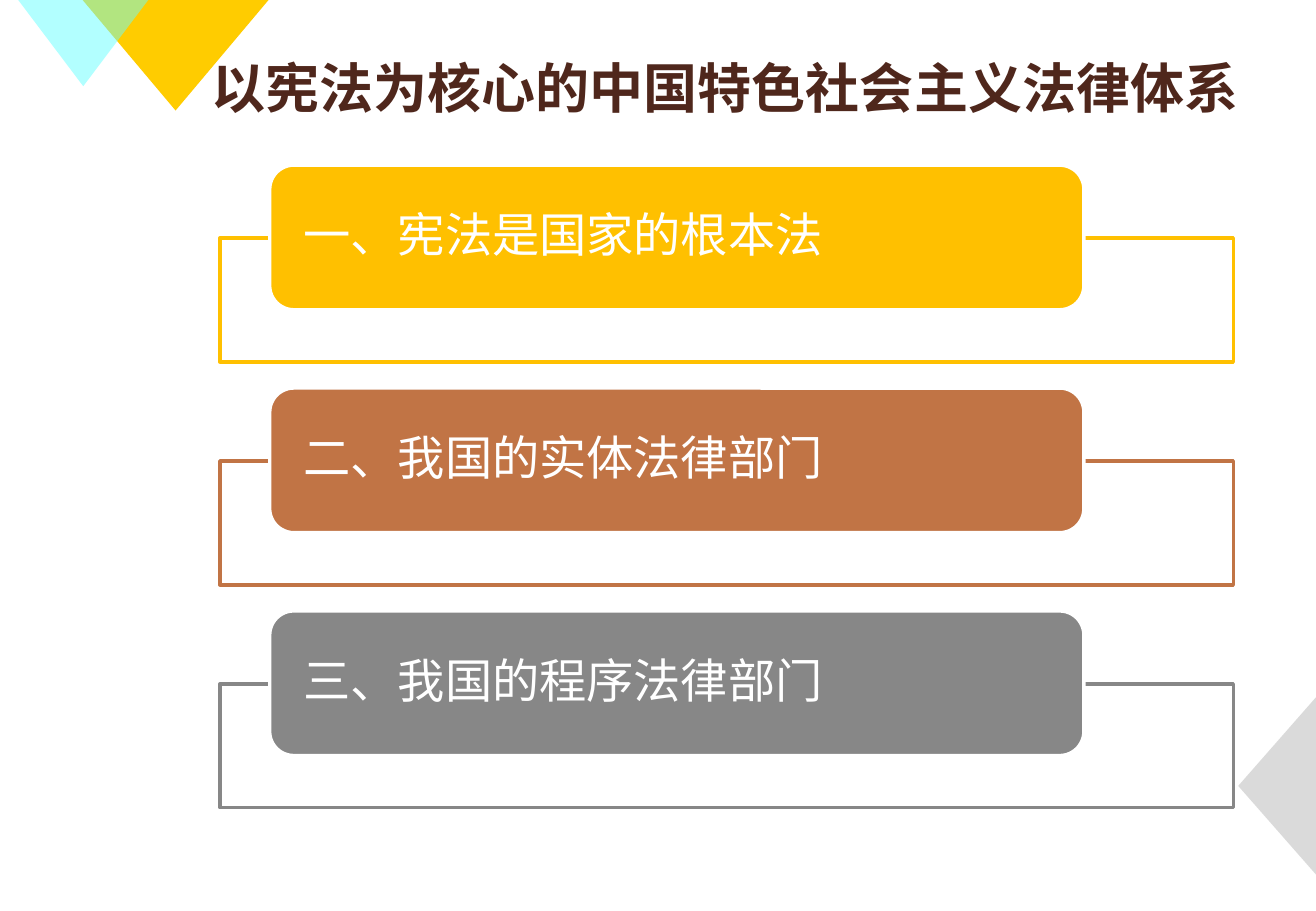
from dataclasses import dataclass

from lxml import etree
from pptx import Presentation
from pptx.dml.color import RGBColor
from pptx.enum.shapes import MSO_SHAPE
from pptx.enum.text import MSO_ANCHOR, PP_ALIGN
from pptx.oxml.ns import qn
from pptx.util import Inches, Pt

TRIANGLE = MSO_SHAPE.ISOSCELES_TRIANGLE
RECTANGLE = MSO_SHAPE.RECTANGLE
ROUNDED = MSO_SHAPE.ROUNDED_RECTANGLE
MIDDLE = MSO_ANCHOR.MIDDLE
LEFT = PP_ALIGN.LEFT
CENTER = PP_ALIGN.CENTER


@dataclass(frozen=True)
class Theme:
    """Colours, font and type sizes of the slide."""
    font: str = "Noto Sans CJK SC"
    title_size: int = 32
    section_size: int = 28
    line_width: int = 2
    title: str = "4F271C"
    white: str = "FFFFFF"
    yellow: str = "FFCC00"
    cyan: str = "66FFFF"
    pale_gray: str = "B7B7B7"
    amber: str = "FFC000"
    copper: str = "C17445"
    gray: str = "878787"


THEME = Theme()
TITLE = "以宪法为核心的中国特色社会主义法律体系"
SECTIONS = [
    ("一、宪法是国家的根本法", THEME.amber),
    ("二、我国的实体法律部门", THEME.copper),
    ("三、我国的程序法律部门", THEME.gray),
]


def add_filled_shape(slide, preset, box, fill, line=None, opacity=100):
    """Add a flat preset shape in a box given in inches."""
    shape = slide.shapes.add_shape(preset, *map(Inches, box))
    shape.shadow.inherit = False
    shape.fill.solid()
    shape.fill.fore_color.rgb = RGBColor.from_string(fill)
    if opacity < 100:
        color = shape.fill._xPr.find(qn("a:solidFill"))[0]
        etree.SubElement(color, qn("a:alpha")).set("val", str(opacity * 1000))
    if line:
        shape.line.color.rgb = RGBColor.from_string(line)
        shape.line.width = Pt(THEME.line_width)
    else:
        shape.line.fill.background()
    return shape


def write_text(shape, text, size, color, align, bold=False):
    """Write one vertically centred paragraph into a shape."""
    frame = shape.text_frame
    frame.word_wrap = True
    frame.vertical_anchor = MIDDLE
    paragraph = frame.paragraphs[0]
    paragraph.alignment = align
    run = paragraph.add_run()
    run.text = text
    run.font.name = THEME.font
    run.font.size = Pt(size)
    run.font.bold = bold
    run.font.color.rgb = RGBColor.from_string(color)
    east_asian = etree.SubElement(run.font._element, qn("a:ea"))
    east_asian.set("typeface", THEME.font)
    return paragraph


def add_decoration(slide, width):
    """Place the corner triangles and the one on the right edge."""
    height = 0.64
    base = 1.46
    right_box = (width - (base + height) / 2, 6.15, base, height)
    triangles = [
        ((0.68, 0, 1.53, 0.91), 180, THEME.yellow, 100),
        ((0.15, 0, 1.07, 0.71), 180, THEME.cyan, 50),
        (right_box, 270, THEME.pale_gray, 50),
    ]
    for box, rotation, color, opacity in triangles:
        triangle = add_filled_shape(slide, TRIANGLE, box, color, opacity=opacity)
        triangle.rotation = rotation


def add_title(slide, box):
    """Place the slide title in its box."""
    title = slide.shapes.add_textbox(*map(Inches, box))
    write_text(title, TITLE, THEME.title_size, THEME.title, CENTER, bold=True)


def add_section(slide, box, text, color):
    """Place an outlined frame with its label overlapping the top edge."""
    left, top, width, height = box
    label_height = 1.19
    frame_top = top + 0.6
    frame_box = (left, frame_top, width, top + height - frame_top)
    add_filled_shape(slide, RECTANGLE, frame_box, THEME.white, color, opacity=90)
    label_box = (left + 0.41, top, 6.7, label_height)
    label = add_filled_shape(slide, ROUNDED, label_box, color, THEME.white)
    paragraph = write_text(label, text, THEME.section_size, THEME.white, LEFT)
    paragraph.line_spacing = 0.9
    frame = label.text_frame
    frame.margin_left = frame.margin_right = Inches(0.22)
    frame.margin_top = frame.margin_bottom = 0


def add_section_list(slide, box):
    """Stack the sections at an equal pitch within the box."""
    left, top, width, height = box
    section_height = 1.62
    pitch = (height - section_height) / (len(SECTIONS) - 1)
    for index, (text, color) in enumerate(SECTIONS):
        section_box = (left, top + index * pitch, width, section_height)
        add_section(slide, section_box, text, color)


def main():
    """Build and save the presentation."""
    width = 10.83
    presentation = Presentation()
    presentation.slide_width = Inches(width)
    presentation.slide_height = Inches(7.5)
    slide = presentation.slides.add_slide(presentation.slide_layouts[6])
    add_decoration(slide, width)
    add_title(slide, (1.64, 0.36, 8.66, 0.71))
    add_section_list(slide, (1.81, 1.36, 8.34, 5.29))
    presentation.save("out.pptx")


if __name__ == "__main__":
    main()
